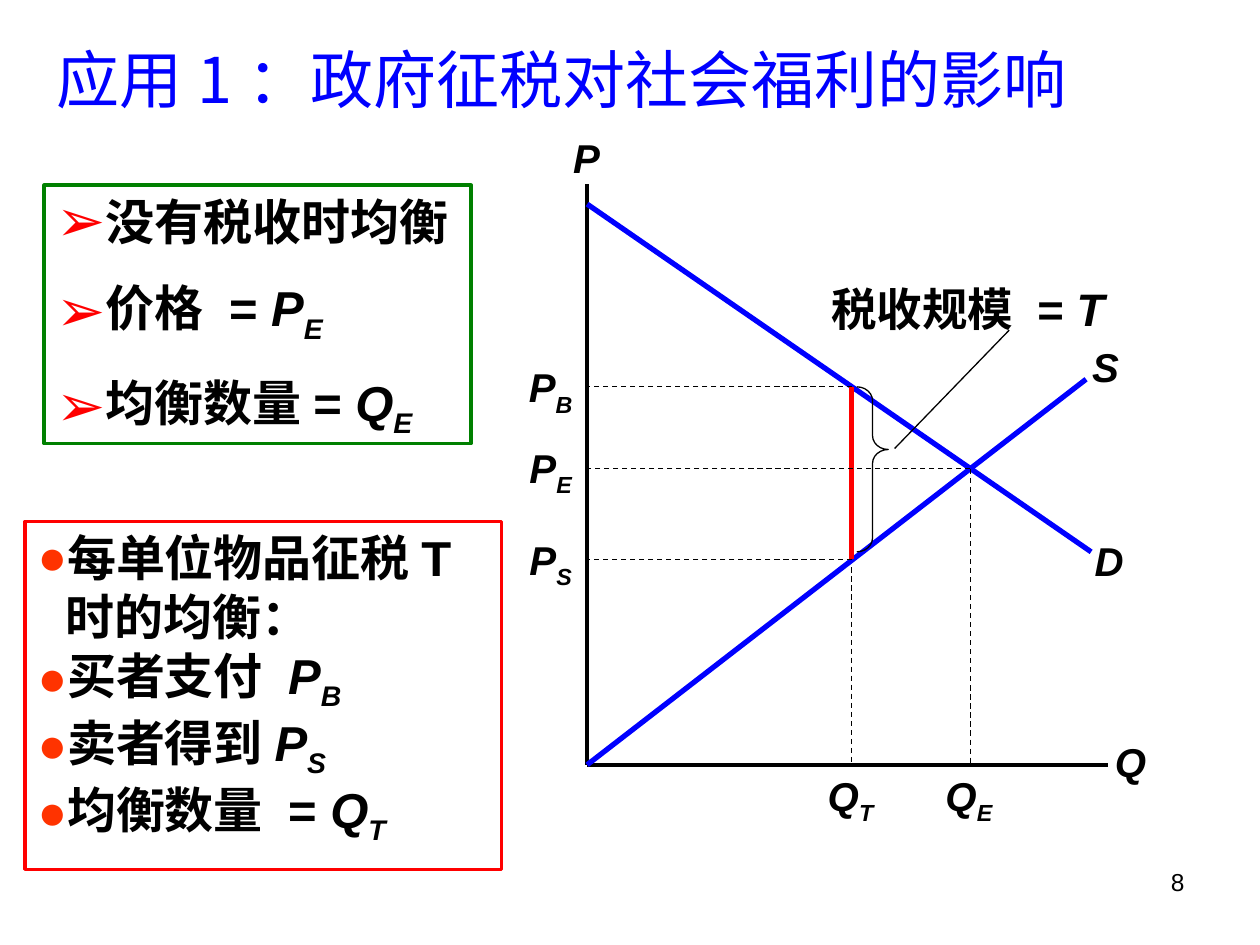
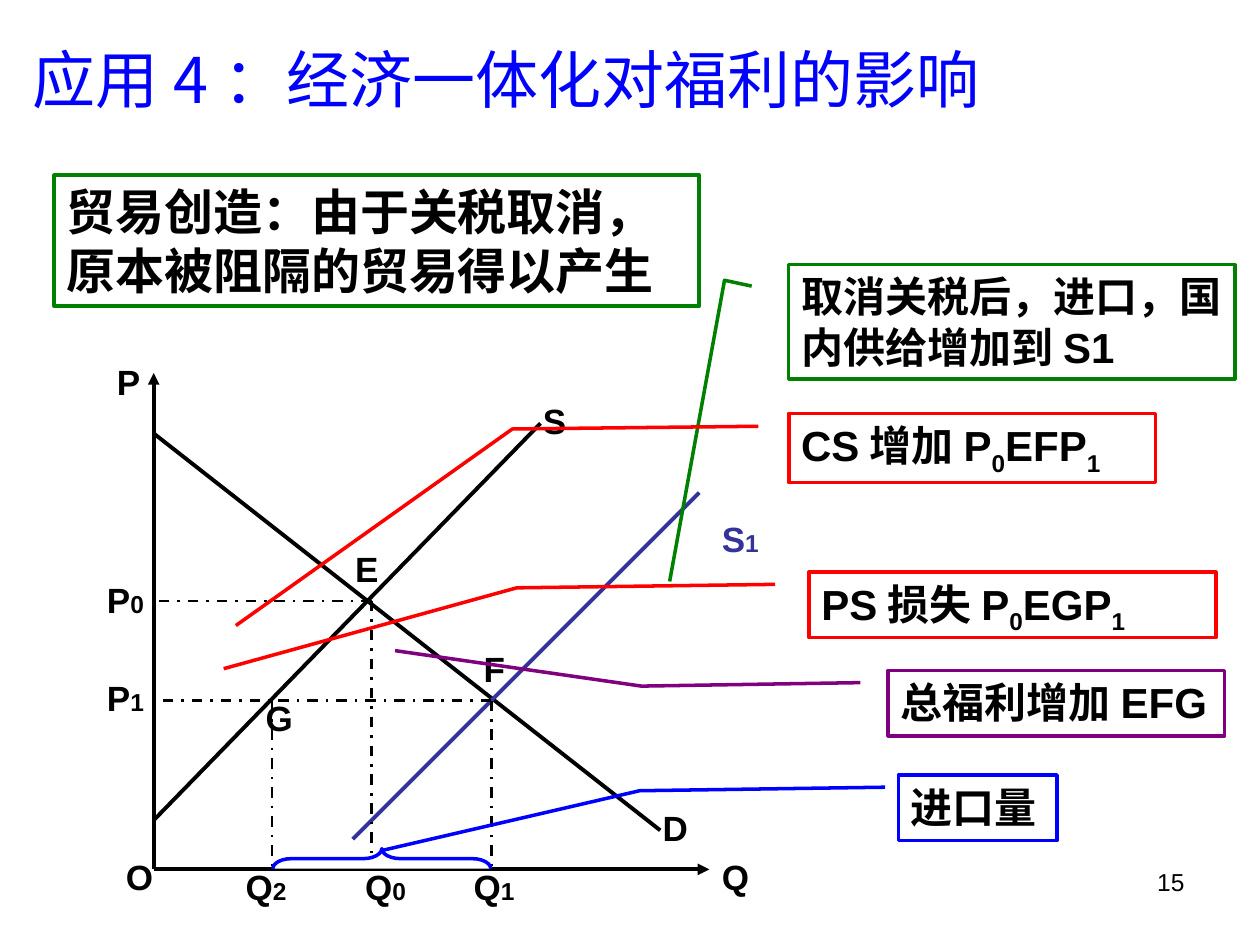
from lxml import etree
from pptx import Presentation
from pptx.dml.color import RGBColor
from pptx.enum.dml import MSO_LINE
from pptx.enum.shapes import MSO_CONNECTOR, MSO_SHAPE
from pptx.enum.text import MSO_ANCHOR, MSO_AUTO_SIZE, PP_ALIGN
from pptx.oxml.ns import qn
from pptx.util import Inches, Pt

BLACK, WHITE, BLUE, RED = "000000", "FFFFFF", "0000FF", "FF0000"
GREEN, PURPLE, INDIGO, ORANGE = "008000", "800080", "333399", "FF3300"
BODY_FONT, TITLE_FONT = "Arial", "Noto Sans CJK SC"
ITALIC = {"italic": True}
SUB = {"baseline": -25000}
ITALIC_SUB = ITALIC | SUB
SMALL = {"size": 14}


def rgb(value):
    return RGBColor.from_string(value)


def variable(letter, index):
    """Runs of an italic letter with a lowered index."""
    return [(letter, ITALIC), (index, ITALIC_SUB)]


class Deck:
    def __init__(self):
        self.prs = Presentation()
        self.prs.slide_width, self.prs.slide_height = Inches(10), Inches(7.5)
        self.s = None

    def slide(self, title, box, align, number):
        self.s = self.prs.slides.add_slide(self.prs.slide_layouts[5])
        sp = self.s.shapes.title
        sp.left, sp.top, sp.width, sp.height = map(Inches, box)
        self.fill_text(sp.text_frame, [title], size=36, color=BLUE, bold=False,
                       align=align, font=TITLE_FONT, anchor=MSO_ANCHOR.MIDDLE)
        self.text((7.17, 6.83, 2.33, 0.52), [str(number)], size=14,
                  bold=False, align=PP_ALIGN.RIGHT)

    def fill_text(self, tf, paragraphs, size, color=BLACK, bold=True,
                  align=PP_ALIGN.LEFT, font=BODY_FONT, anchor=MSO_ANCHOR.TOP,
                  space=0, bullet=None):
        """Fill a frame; a paragraph is a string or a list of (text, format)."""
        tf.word_wrap = True
        tf.auto_size = MSO_AUTO_SIZE.NONE
        tf.vertical_anchor = anchor
        for i, runs in enumerate(paragraphs):
            p = tf.paragraphs[0] if i == 0 else tf.add_paragraph()
            p.alignment = align
            p.space_before = Pt(space if i else 0)
            if bullet:
                self.bullet(p, **bullet)
            for text, extra in [(runs, {})] if isinstance(runs, str) else runs:
                r = p.add_run()
                r.text = text
                style = {"size": size, "bold": bold, "name": font} | extra
                baseline = style.pop("baseline", None)
                style["size"] = Pt(style["size"])
                for name, value in style.items():
                    setattr(r.font, name, value)
                r.font.color.rgb = rgb(color)
                rPr = r._r.get_or_add_rPr()
                if baseline:
                    rPr.set("baseline", str(baseline))
                etree.SubElement(rPr, qn("a:ea")).set("typeface", font)

    def bullet(self, p, char, color, indent, percent):
        pPr = p._p.get_or_add_pPr()
        pPr.set("marL", str(Inches(indent)))
        pPr.set("indent", str(-Inches(indent)))
        clr = etree.SubElement(pPr, qn("a:buClr"))
        etree.SubElement(clr, qn("a:srgbClr")).set("val", color)
        etree.SubElement(pPr, qn("a:buSzPct")).set("val", str(percent * 1000))
        etree.SubElement(pPr, qn("a:buFont")).set("typeface", BODY_FONT)
        etree.SubElement(pPr, qn("a:buChar")).set("char", char)

    def text(self, box, paragraphs, **style):
        sp = self.s.shapes.add_textbox(*map(Inches, box))
        self.fill_text(sp.text_frame, paragraphs, **style)

    def shape(self, kind, box, line, width=2, fill=None, adjust=(), rotation=0):
        sp = self.s.shapes.add_shape(kind, *map(Inches, box))
        sp.shadow.inherit = False
        sp.rotation = rotation
        for i, value in enumerate(adjust):
            sp.adjustments[i] = value
        if fill:
            sp.fill.solid()
            sp.fill.fore_color.rgb = rgb(fill)
        else:
            sp.fill.background()
        sp.line.color.rgb = rgb(line)
        sp.line.width = Pt(width)
        return sp

    def panel(self, box, paragraphs, line, fill=None, **style):
        sp = self.shape(MSO_SHAPE.RECTANGLE, box, line, fill=fill)
        self.fill_text(sp.text_frame, paragraphs, size=28, **style)

    def callout(self, box, runs, line, bend, end):
        """Bordered note with a bent leader; bend and end are (y, x) shares."""
        sp = self.shape(MSO_SHAPE.LINE_CALLOUT_2, box, line, fill=WHITE,
                        adjust=(0.188, -0.083, *bend, *end))
        self.fill_text(sp.text_frame, [runs], size=24)

    def line(self, start, end, color=BLACK, width=2.25, dash=None, arrow=False):
        c = self.s.shapes.add_connector(MSO_CONNECTOR.STRAIGHT,
                                        *map(Inches, (*start, *end)))
        c.line.color.rgb = rgb(color)
        c.line.width = Pt(width)
        if dash:
            c.line.dash_style = dash
        if arrow:
            ln = c.line._get_or_add_ln()
            etree.SubElement(ln, qn("a:tailEnd")).set("type", "triangle")
        etree.SubElement(c._element.spPr, qn("a:effectLst"))


def tax_slide(deck):
    deck.slide("应用1：政府征税对社会福利的影响", (0.35, 0, 9, 1.25), PP_ALIGN.LEFT, 8)
    x0, y0 = 4.66, 6.07
    qt, qe = 6.76, 7.7
    pb, pe, ps = 3.07, 3.72, 4.44
    guide = {"width": 0.75, "dash": MSO_LINE.DASH}

    deck.line((qt, pb), (qt, y0), **guide)
    for end in ((x0, 1.46), (8.79, y0)):
        deck.line((x0, y0), end, width=2)
    deck.line((x0, 1.62), (8.66, 4.38), BLUE, 3)
    deck.line((x0, y0), (8.62, 3.01), BLUE, 3)

    label = {"size": 23, "align": PP_ALIGN.CENTER}
    for letter, x, y in (("P", 4.45, 1.01), ("Q", 8.75, 5.8),
                         ("D", 8.59, 4.21), ("S", 8.57, 2.67)):
        deck.text((x, y, 0.4, 0.49), [[(letter, ITALIC)]], **label)

    deck.panel((0.35, 1.47, 3.39, 2.05),
               ["没有税收时均衡",
                [("价格 = ", {})] + variable("P", "E"),
                [("均衡数量= ", {})] + variable("Q", "E")],
               GREEN, space=15.8,
               bullet={"char": "➢", "color": RED, "indent": 0.38, "percent": 120})

    deck.line((qt, pb), (qt, ps), RED, 3)
    for index, price, quantity, y in (("S", ps, qt, 4.2), ("B", pb, qt, 2.83),
                                      ("E", pe, qe, 3.47)):
        deck.text((4.08, y, 0.58, 0.54), [variable("P", index)], **label)
        deck.line((quantity, price), (x0, price), **guide)
    deck.line((qe, pe), (qe, y0), **guide)
    for index, x in (("T", 6.43), ("E", 7.37)):
        deck.text((x, y0, 0.64, 0.54), [variable("Q", index)], **label)

    deck.panel((0.2, 4.14, 3.78, 2.76),
               ["每单位物品征税T时的均衡：",
                [("买者支付 ", {})] + variable("P", "B"),
                [("卖者得到", {})] + variable("P", "S"),
                [("均衡数量 = ", {})] + variable("Q", "T")],
               RED,
               bullet={"char": "●", "color": ORANGE, "indent": 0.22, "percent": 100})

    deck.shape(MSO_SHAPE.RIGHT_BRACE, (6.8, pb, 0.25, 1.31), BLACK, 0.75,
               adjust=(0.44, 0.38))
    deck.text((6.5, 2.18, 2.91, 0.54), [[("税收规模 = ", {}), ("T", ITALIC)]],
              size=26)
    deck.line((7.1, 3.56), (8.01, 2.62), width=0.75)


def integration_slide(deck):
    deck.slide("应用4：经济一体化对福利的影响", (0, 0.28, 8.03, 0.69),
               PP_ALIGN.CENTER, 15)
    x0, y0 = 1.22, 6.9
    q2, q0, q1 = 2.16, 2.95, 3.9
    p0, p1 = 4.77, 5.56

    deck.panel((0.43, 1.39, 5.12, 1.04),
               ["贸易创造：由于关税取消，原本被阻隔的贸易得以产生"], GREEN, WHITE)
    for end in ((5.63, y0), (x0, 2.96)):
        deck.line((x0, y0), end, arrow=True)
    deck.line((x0, 3.44), (5.24, 6.59))
    deck.line((2.8, 6.66), (5.55, 3.91), INDIGO)
    deck.line((x0, 6.51), (4.29, 3.36))
    for start, end in (((q0, p0), (x0, p0)), ((q0, p0), (q0, y0)),
                       ((q1, p1), (q1, y0)), ((q1, p1), (x0, p1)),
                       ((q2, p1), (q2, y0))):
        deck.line(start, end, width=1.5, dash=MSO_LINE.DASH_DOT)

    for letter, x, y in (("O", 0.9, 6.74), ("Q", 5.63, 6.74), ("P", 0.83, 2.81),
                         ("D", 5.16, 6.35), ("S", 4.21, 3.12), ("E", 2.72, 4.3),
                         ("F", 3.74, 5.09), ("G", 2.01, 5.48)):
        deck.text((x, y, 0.39, 0.44), [letter], size=20)
    for letter, index, x, y, color in (
            ("S", "1", 5.63, 4.06, INDIGO),
            ("P", "0", 0.75, 4.54, BLACK), ("P", "1", 0.75, 5.32, BLACK),
            ("Q", "0", 2.8, 6.82, BLACK), ("Q", "1", 3.66, 6.82, BLACK),
            ("Q", "2", 1.85, 6.82, BLACK)):
        deck.text((x, y, 0.55, 0.44), [[(letter, {}), (index, SMALL)]],
                  size=20, color=color)

    deck.callout((6.26, 2.1, 3.54, 0.91), "取消关税后，进口，国内供给增加到S1",
                 GREEN, (0.137, -0.144), (2.764, -0.267))
    for box, change, area, bend, end in (
            ((6.26, 3.28, 2.91, 0.55), "CS增加P", "EFP",
             (0.227, -0.754), (3.063, -1.508)),
            ((6.42, 4.54, 3.23, 0.52), "PS损失P", "EGP",
             (0.241, -0.718), (1.475, -1.438))):
        runs = [(change, {}), ("0", SUB), (area, {}), ("1", SUB)]
        deck.callout(box, runs, RED, bend, end)
    deck.callout((7.05, 5.32, 2.67, 0.52), "总福利增加EFG", PURPLE,
                 (0.241, -0.734), (-0.301, -1.466))
    deck.shape(MSO_SHAPE.LEFT_BRACE, (2.95, 5.95, 0.16, 1.73), BLUE, fill=WHITE,
               adjust=(0.93, 0.5), rotation=90)
    deck.callout((7.13, 6.15, 1.26, 0.52), "进口量", BLUE,
                 (0.242, -1.63), (1.154, -3.254))


def main():
    deck = Deck()
    tax_slide(deck)
    integration_slide(deck)
    deck.prs.save("out.pptx")


if __name__ == "__main__":
    main()
